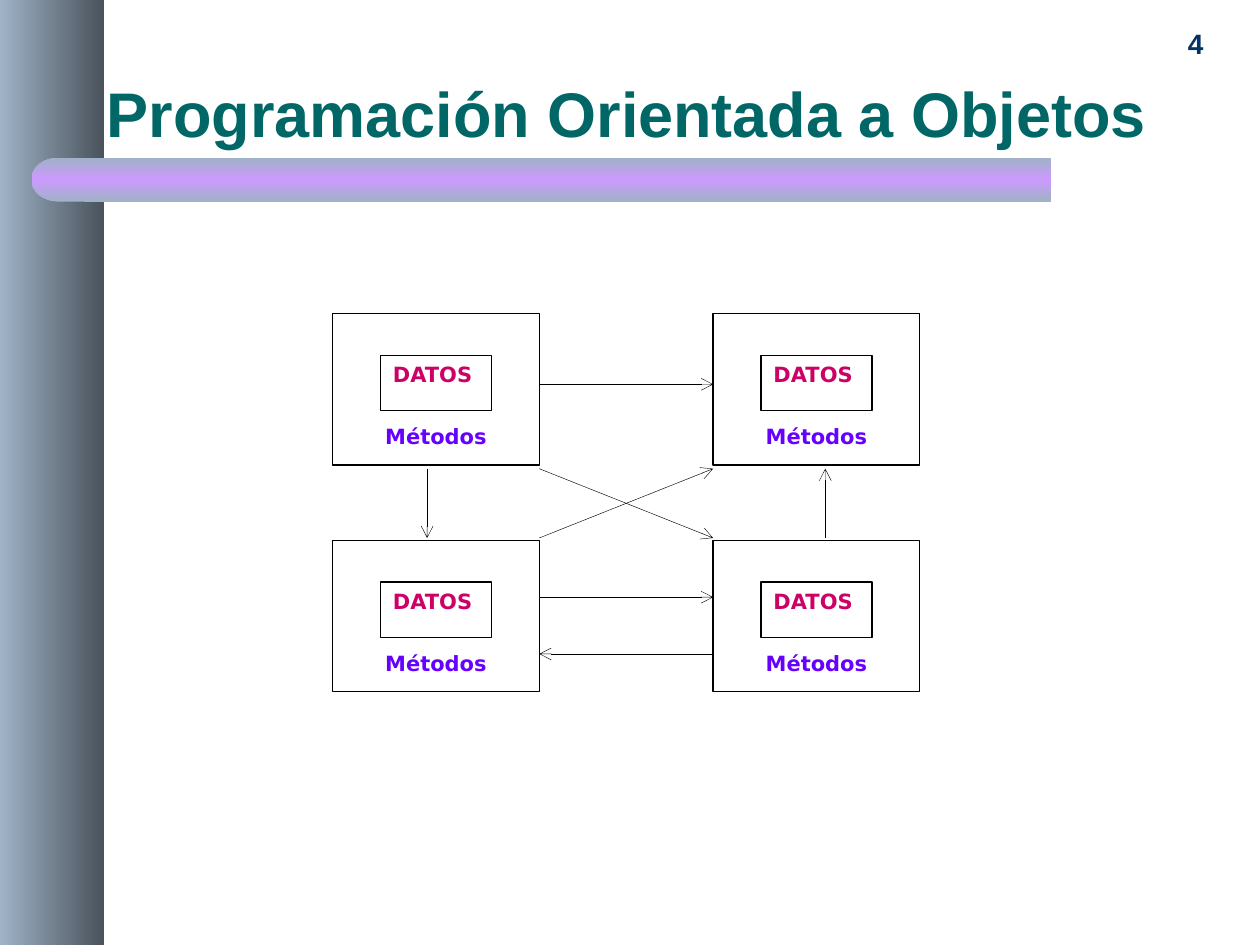
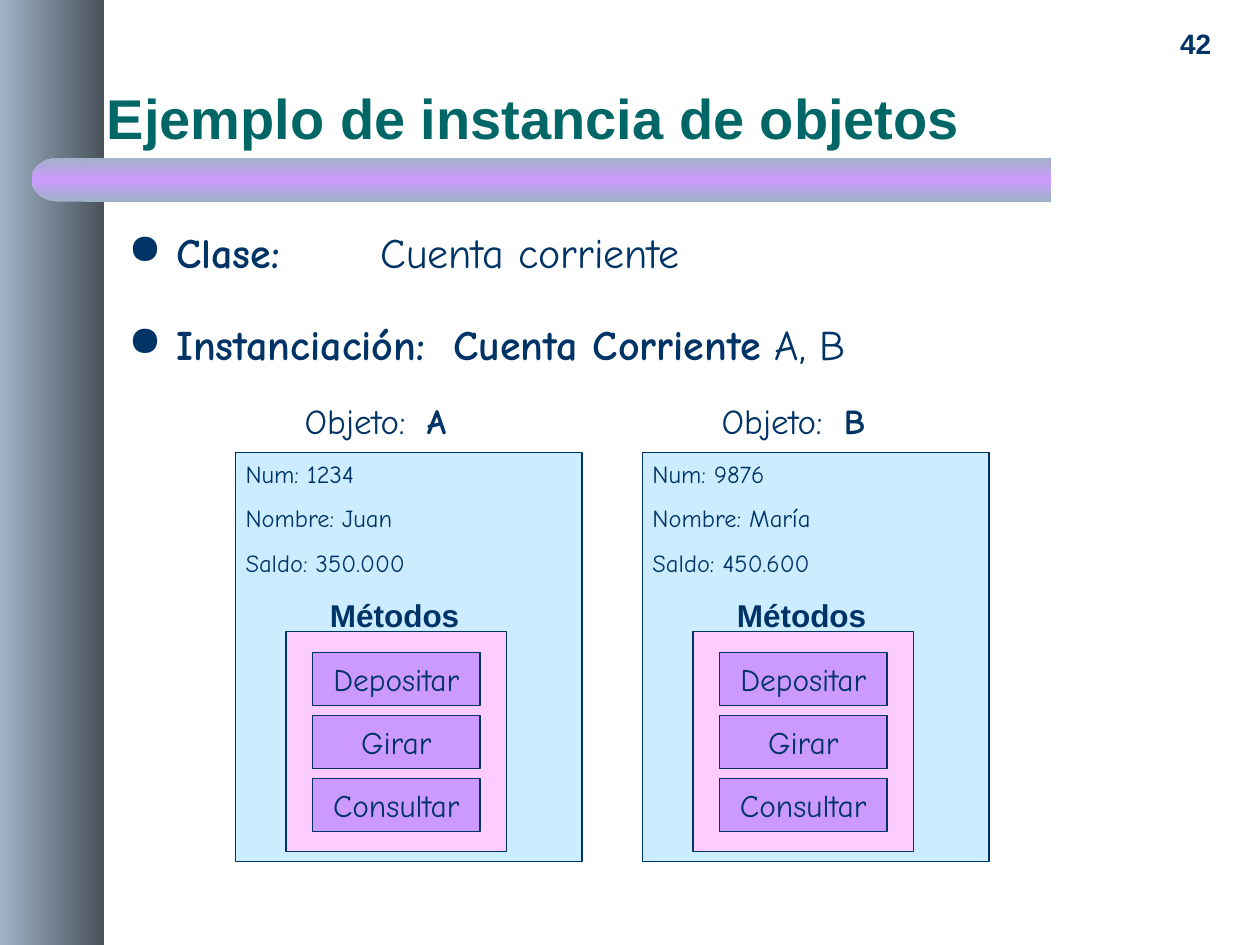
import pptx
import pptx.util
import pptx.dml.color
import pptx.enum.shapes
import pptx.enum.text
import pptx.oxml.ns
from lxml import etree

Inches = pptx.util.Inches
Pt = pptx.util.Pt
RGBColor = pptx.dml.color.RGBColor
SHAPE = pptx.enum.shapes.MSO_SHAPE
ALIGN = pptx.enum.text.PP_ALIGN
ANCHOR = pptx.enum.text.MSO_ANCHOR
qn = pptx.oxml.ns.qn

WHITE = RGBColor(0xFF, 0xFF, 0xFF)
BLACK = RGBColor(0, 0, 0)
NAVY = RGBColor(0x00, 0x33, 0x66)
TEAL = RGBColor(0x00, 0x66, 0x66)
SLATE = RGBColor(0x49, 0x52, 0x5B)
STEEL = RGBColor(0x9F, 0xB3, 0xC7)
LILAC = RGBColor(0xCC, 0x99, 0xFF)
PINK = RGBColor(0xFF, 0xCC, 0xFF)
SKY = RGBColor(0xCC, 0xEC, 0xFF)
CRIMSON = RGBColor(0xCC, 0x00, 0x66)
VIOLET = RGBColor(0x66, 0x00, 0xFF)

HEADING_FONT = "Arial"
BODY_FONT = "Comic Neue"
DIAGRAM_FONT = "DejaVu Sans"


def add_run(paragraph, text, size, font, color=NAVY, bold=False):
    run = paragraph.add_run()
    run.text = text
    run.font.size = Pt(size)
    run.font.name = font
    run.font.color.rgb = color
    run.font.bold = bold


def add_text(slide, left, top, width, height, anchor=ANCHOR.TOP):
    """Add an empty wrapping text box and return its text frame."""
    box = slide.shapes.add_textbox(Inches(left), Inches(top), Inches(width), Inches(height))
    frame = box.text_frame
    frame.word_wrap = True
    frame.vertical_anchor = anchor
    return frame


def add_box(slide, left, top, width, height, fill=None, line=None, kind=SHAPE.RECTANGLE):
    box = slide.shapes.add_shape(kind, Inches(left), Inches(top), Inches(width), Inches(height))
    box.shadow.inherit = False
    if fill is not None:
        box.fill.solid()
        box.fill.fore_color.rgb = fill
    if line is None:
        box.line.fill.background()
    else:
        box.line.color.rgb = line
        box.line.width = Pt(0.75)
    return box


def write_in_box(box, text, size, font, color=NAVY, bold=False,
                 align=ALIGN.CENTER, anchor=ANCHOR.MIDDLE):
    frame = box.text_frame
    frame.vertical_anchor = anchor
    frame.paragraphs[0].alignment = align
    add_run(frame.paragraphs[0], text, size, font, color, bold)
    return frame


def set_gradient(shape, angle, colors):
    """Fill the shape with evenly spaced gradient stops."""
    shape.fill.gradient()
    shape.fill.gradient_angle = angle
    stops = shape.fill._xPr.find(qn("a:gradFill")).find(qn("a:gsLst"))
    for stop in list(stops):
        stops.remove(stop)
    for index, color in enumerate(colors):
        position = round(100000 * index / (len(colors) - 1))
        stop = etree.SubElement(stops, qn("a:gs"), pos=str(position))
        etree.SubElement(stop, qn("a:srgbClr"), val=str(color))


def set_tab(paragraph, position):
    tabs = etree.SubElement(paragraph._p.get_or_add_pPr(), qn("a:tabLst"))
    etree.SubElement(tabs, qn("a:tab"), pos=str(Inches(position)), algn="l")


def set_bullet(paragraph):
    properties = paragraph._p.get_or_add_pPr()
    properties.set("marL", str(Inches(0.38)))
    properties.set("indent", str(-Inches(0.38)))
    color = etree.SubElement(properties, qn("a:buClr"))
    etree.SubElement(color, qn("a:srgbClr"), val=str(NAVY))
    etree.SubElement(properties, qn("a:buChar"), char="●")


def add_arrow(slide, start, end):
    arrow = slide.shapes.add_connector(
        pptx.enum.shapes.MSO_CONNECTOR.STRAIGHT,
        *(Inches(value) for value in (*start, *end)))
    arrow.line.color.rgb = BLACK
    arrow.line.width = Pt(0.25)
    etree.SubElement(arrow.line._get_or_add_ln(), qn("a:tailEnd"), type="arrow")
    etree.SubElement(arrow._element.spPr, qn("a:effectLst"))


def start_slide(deck, title, title_size, number):
    """Add a slide with the side band, title bar, title and page number."""
    slide = deck.slides.add_slide(deck.slide_layouts[6])
    side_band = add_box(slide, 0, 0, 0.83, 7.5)
    set_gradient(side_band, 0, [STEEL, SLATE])

    title_bar = add_box(slide, 0.67, 1.25, 7.67, 0.35)
    bar_cap = add_box(slide, 0.25, 1.25, 0.43, 0.35, kind=SHAPE.FLOWCHART_DELAY)
    bar_cap.rotation = 180
    for part in (title_bar, bar_cap):
        set_gradient(part, 90, [STEEL, LILAC, STEEL])

    heading = add_text(slide, 0.75, 0.58, 8.75, 0.67, ANCHOR.BOTTOM).paragraphs[0]
    heading.line_spacing = 0.9
    add_run(heading, title, title_size, HEADING_FONT, TEAL, True)

    page = add_text(slide, 9.17, 0.16, 0.64, 0.37, ANCHOR.BOTTOM).paragraphs[0]
    page.alignment = ALIGN.CENTER
    add_run(page, str(number), 16, HEADING_FONT, bold=True)
    return slide


def add_data_object(slide, left, top):
    """Draw an object whose methods enclose its data."""
    methods = add_box(slide, left, top, 1.64, 1.2, WHITE, BLACK)
    frame = write_in_box(methods, "Métodos", 12, DIAGRAM_FONT, VIOLET, True,
                         anchor=ANCHOR.BOTTOM)
    frame.margin_bottom = Inches(0.13)
    data = add_box(slide, left + 0.38, top + 0.33, 0.88, 0.44, WHITE, BLACK)
    write_in_box(data, "DATOS", 12, DIAGRAM_FONT, CRIMSON, True, ALIGN.LEFT, ANCHOR.TOP)


def add_account(slide, left, label_left, name, fields):
    """Draw an account instance with its label, fields and methods."""
    label = add_text(slide, label_left, 3.12, 1.73, 0.44).paragraphs[0]
    set_tab(label, 0.97)
    add_run(label, "Objeto:\t", 20, BODY_FONT)
    add_run(label, name, 20, BODY_FONT, bold=True)

    add_box(slide, left, 3.59, 2.75, 3.25, SKY, NAVY)
    methods_title = add_text(slide, left + 0.65, 4.68, 1.25, 0.4).paragraphs[0]
    add_run(methods_title, "Métodos", 18, HEADING_FONT, bold=True)
    add_box(slide, left + 0.4, 5.01, 1.75, 1.75, PINK, NAVY)
    for row, method in enumerate(("Depositar", "Girar", "Consultar")):
        button = add_box(slide, left + 0.61, 5.18 + 0.5 * row, 1.33, 0.42, LILAC, NAVY)
        write_in_box(button, method, 18, BODY_FONT).word_wrap = False

    frame = add_text(slide, left - 0.02, 3.59, 2.92, 1.05)
    for row, field in enumerate(fields):
        paragraph = frame.add_paragraph() if row else frame.paragraphs[0]
        paragraph.space_before = Pt(8.8)
        add_run(paragraph, field, 14, BODY_FONT)


def add_definition(paragraph, term, value, tab, space):
    """Write a bulleted line: bold term, then its value."""
    paragraph.space_before = Pt(space)
    set_bullet(paragraph)
    set_tab(paragraph, tab)
    add_run(paragraph, term, 24, BODY_FONT, bold=True)
    add_run(paragraph, value, 24, BODY_FONT)


def build_messages_slide(deck):
    slide = start_slide(deck, "Programación Orientada a Objetos", 36, 4)
    for top in (2.49, 4.29):
        for left in (2.64, 5.66):
            add_data_object(slide, left, top)

    west, east = 4.28, 5.66
    upper, lower = 3.72, 4.27
    messages = [
        ((west, 3.05), (east, 3.05)),
        ((west, 4.74), (east, 4.74)),
        ((west, lower), (east, upper)),
        ((west, upper), (east, lower)),
        ((east, 5.19), (west, 5.19)),
        ((3.39, upper), (3.39, lower)),
        ((6.55, lower), (6.55, upper)),
    ]
    for start, end in messages:
        add_arrow(slide, start, end)


def build_instances_slide(deck):
    slide = start_slide(deck, "Ejemplo de instancia de objetos", 32, 42)
    definitions = add_text(slide, 0.92, 1.75, 8.5, 1.3)
    add_definition(definitions.paragraphs[0], "Clase:\t", "Cuenta corriente", 2, 6)
    add_definition(definitions.add_paragraph(), "Instanciación:\tCuenta Corriente",
                   " A, B", 2.58, 23.4)
    add_account(slide, 1.87, 2.32, "A", ["Num: 1234", "Nombre: Juan", "Saldo: 350.000"])
    add_account(slide, 5.1, 5.63, "B", ["Num: 9876", "Nombre: María", "Saldo: 450.600"])


def main():
    deck = pptx.Presentation()
    deck.slide_width = Inches(10)
    deck.slide_height = Inches(7.5)
    build_messages_slide(deck)
    build_instances_slide(deck)
    deck.save("out.pptx")


if __name__ == "__main__":
    main()
